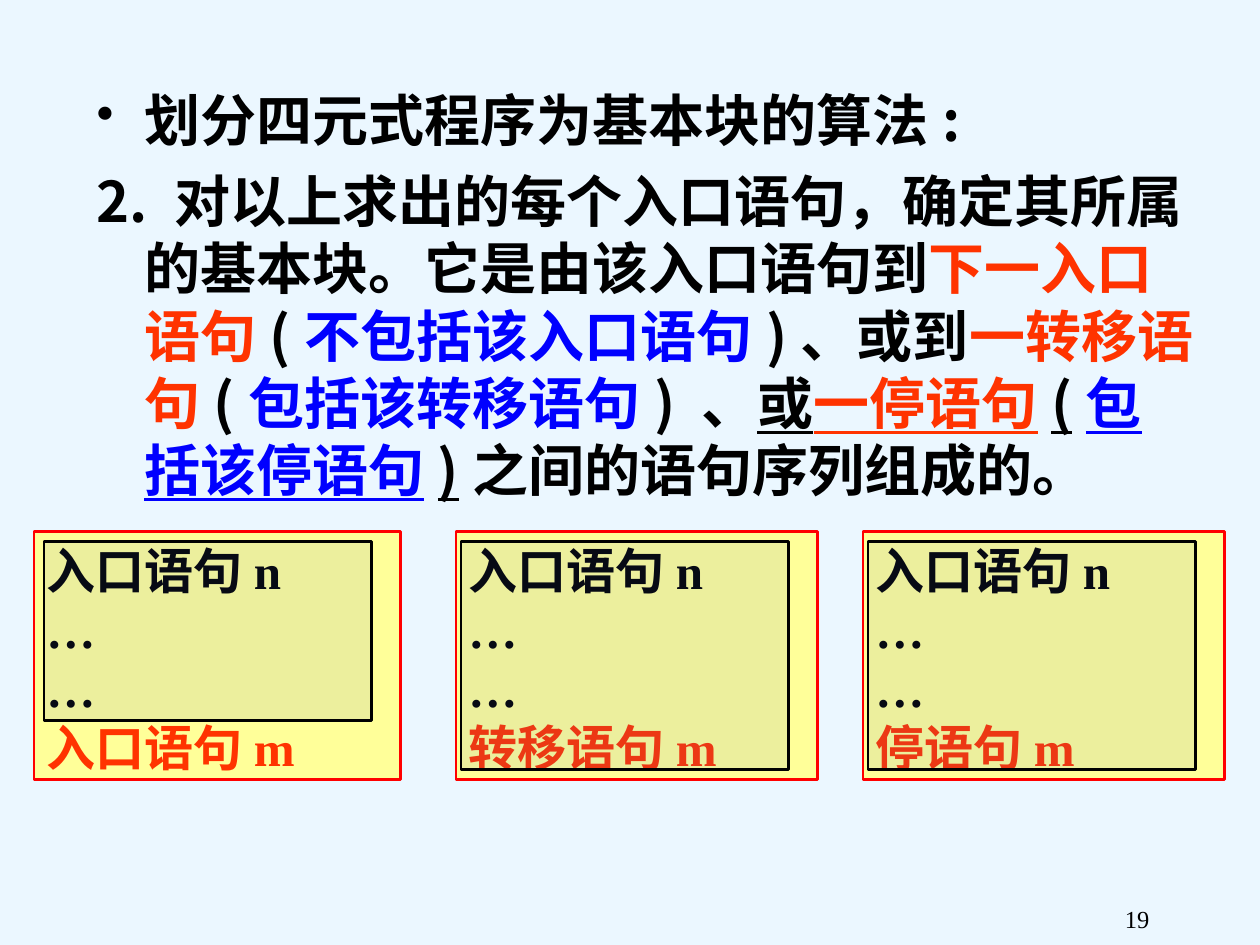
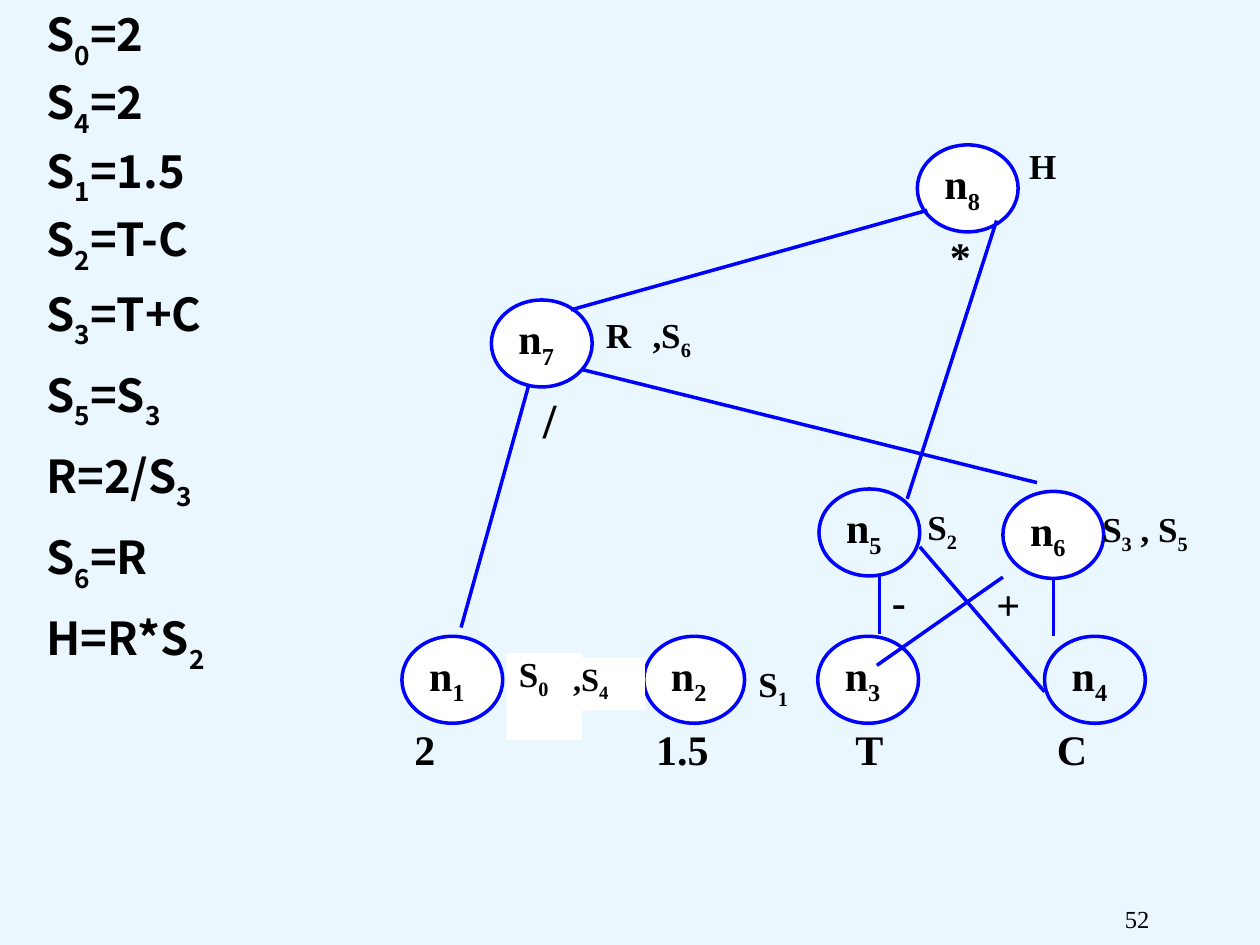
from lxml import etree
from pptx import Presentation
from pptx.dml.color import RGBColor
from pptx.enum.shapes import MSO_CONNECTOR as CONN, MSO_SHAPE as SHAPE
from pptx.enum.text import MSO_ANCHOR as ANCHOR, PP_ALIGN as ALIGN
from pptx.oxml.ns import qn
from pptx.util import Pt

COLORS = {
    "bg": "EBF7FF", "text": "000000", "accent": "FF3300", "blue": "0000FF",
    "frame": "FF0000", "box": "FFFF99", "overlay": "4E67C8", "white": "FFFFFF",
}
SANS, SERIF = "Noto Sans CJK SC", "Times New Roman"
SUB_SERIF, SUB_SANS = -25, -30


def rgb(name):
    return RGBColor.from_string(COLORS[name])


class Deck:
    """Shared style plus the slide being drawn."""

    def __init__(self):
        self.prs = Presentation()
        self.prs.slide_width, self.prs.slide_height = Pt(720), Pt(540)
        self.s = None

    def slide(self, number):
        self.s = self.prs.slides.add_slide(self.prs.slide_layouts[6])
        fill = self.s.background.fill
        fill.solid()
        fill.fore_color.rgb = rgb("bg")
        tf = self.text(514.1, 501.1, 149.8, 36)
        tf.vertical_anchor = ANCHOR.BOTTOM
        p = self.para(tf, ALIGN.RIGHT)
        self.run(p, number, 14, bold=False)

    def frame(self, sp, margins, wrap=True):
        tf = sp.text_frame
        tf.word_wrap = wrap
        tf.vertical_anchor = ANCHOR.TOP
        side, top = margins
        tf.margin_left = tf.margin_right = Pt(side)
        tf.margin_top = tf.margin_bottom = Pt(top)
        return tf

    def text(self, x, y, w, h, margins=(7.2, 3.6), wrap=True):
        sp = self.s.shapes.add_textbox(Pt(x), Pt(y), Pt(w), Pt(h))
        return self.frame(sp, margins, wrap)

    def shape(self, kind, x, y, w, h, fill=None, line=None, width=1.5,
              alpha=None, margins=(7.2, 0)):
        sp = self.s.shapes.add_shape(kind, Pt(x), Pt(y), Pt(w), Pt(h))
        sp.shadow.inherit = False
        if fill:
            sp.fill.solid()
            sp.fill.fore_color.rgb = rgb(fill)
        else:
            sp.fill.background()
        if alpha:
            clr = sp.fill._xPr.find(".//" + qn("a:srgbClr"))
            etree.SubElement(clr, qn("a:alpha"), val=str(alpha * 1000))
        if line:
            sp.line.color.rgb = rgb(line)
            sp.line.width = Pt(width)
        else:
            sp.line.fill.background()
        return self.frame(sp, margins)

    def para(self, tf, align=ALIGN.LEFT, spacing=None, before=0, hanging=0, bullet=None):
        p = tf.paragraphs[0]
        first = not p.runs
        if not first:
            p = tf.add_paragraph()
        p.alignment = align
        if spacing:
            p.line_spacing = spacing
        if before and not first:
            p.space_before = Pt(before)
        pPr = p._p.get_or_add_pPr()
        if hanging:
            pPr.set("marL", str(Pt(hanging)))
            pPr.set("indent", str(-Pt(hanging)))
        if bullet:
            clr = etree.SubElement(pPr, qn("a:buClr"))
            etree.SubElement(clr, qn("a:srgbClr"), val=COLORS["text"])
            etree.SubElement(pPr, qn("a:buSzPct"), val="90000")
            etree.SubElement(pPr, qn("a:buChar"), char=bullet)
        return p

    def run(self, p, text, size, color="text", font=SERIF, bold=True,
            underline=False, baseline=0):
        r = p.add_run()
        r.text = text
        f = r.font
        f.size, f.bold, f.name = Pt(size), bold, font
        f.color.rgb = rgb(color)
        if underline:
            f.underline = True
        rPr = r._r.get_or_add_rPr()
        etree.SubElement(rPr, qn("a:ea"), typeface=SANS)
        if baseline:
            rPr.set("baseline", str(baseline * 1000))

    def formula(self, p, text, size, font=SERIF, sub=SUB_SERIF):
        """Write text in which _x_ marks a subscript x."""
        for i, part in enumerate(text.split("_")):
            if part:
                self.run(p, part, size, font=font, baseline=sub if i % 2 else 0)

    def label(self, text, x, y, w, h, size=20):
        self.formula(self.para(self.text(x, y, w, h, (7.2, 0)), ALIGN.JUSTIFY), text, size)

    def tag(self, text, x, y, w, h):
        self.formula(self.para(self.text(x, y, w, h, (0, 0), wrap=False)), text, 20)

    def patch(self, text, x, y, w, h, size, margin=0, spacing=None):
        tf = self.shape(SHAPE.RECTANGLE, x, y, w, h, "white", margins=(7.2, margin))
        self.formula(self.para(tf, ALIGN.JUSTIFY, spacing), text, size)

    def node(self, number, x, y, fill):
        tf = self.shape(SHAPE.OVAL, x, y, 57.6, 49.7, fill, "blue", 2)
        self.formula(self.para(tf, ALIGN.JUSTIFY), f"n_{number}_", 24)

    def edge(self, x1, y1, x2, y2):
        c = self.s.shapes.add_connector(CONN.STRAIGHT, Pt(x1), Pt(y1), Pt(x2), Pt(y2))
        c.line.color.rgb = rgb("blue")
        c.line.width = Pt(2)
        etree.SubElement(c._element.spPr, qn("a:effectLst"))


def basic_blocks(deck):
    deck.slide("19")

    # Algorithm step
    tf = deck.text(48.2, 41.8, 642.2, 250.6)
    tf.margin_top = Pt(7)
    p = deck.para(tf, spacing=Pt(38.4), hanging=27, bullet="•")
    deck.run(p, "划分四元式程序为基本块的算法:", 32, font=SANS)
    p = deck.para(tf, spacing=Pt(38.4), before=8, hanging=27)
    for text, color, underline in [
        ("2. 对以上求出的每个入口语句，确定其所属的基本块。它是由该入口语句到", "text", False),
        ("下一入口语句", "accent", False),
        ("(", "text", False),
        ("不包括该入口语句", "blue", False),
        (")、或到", "text", False),
        ("一转移语句", "accent", False),
        ("(", "text", False),
        ("包括该转移语句", "blue", False),
        (") 、", "text", False),
        ("或", "text", True),
        ("一停语句", "accent", True),
        ("(", "text", True),
        ("包括该停语句", "blue", True),
        (")", "text", True),
        ("之间的语句序列组成的。", "text", False),
    ]:
        deck.run(p, text, 32, color, SANS, underline=underline)

    # Three kinds of block, each with its extent marked
    for last, x, w, inner_x, inner_h in [
        ("入口语句m", 19.4, 209.5, 25.2, 102.2),
        ("转移语句m", 260.6, 206.6, 263.5, 130.3),
        ("停语句m", 493.2, 206.6, 496.1, 130.3),
    ]:
        tf = deck.shape(SHAPE.RECTANGLE, x, 303.8, w, 141.8, "box", "frame", margins=(7.2, 5))
        for text in ("入口语句n", "…", "…", last):
            p = deck.para(tf, spacing=Pt(33.7))
            deck.run(p, text, 28, "accent" if text == last else "text")
        deck.shape(SHAPE.RECTANGLE, inner_x, 309.6, 187.2, inner_h,
                   "overlay", "text", alpha=10)


def dag(deck):
    deck.slide("52")

    # Statements
    tf = deck.text(19.4, 0, 113.8, 419.8)
    statements = ["S_0_=2", "S_4_=2", "S_1_=1.5", "S_2_=T-C", "S_3_=T+C",
                  "S_5_=S_3_", "R=2/S_3_", "S_6_=R", "H=R*S_2_"]
    for i, text in enumerate(statements):
        p = deck.para(tf, ALIGN.JUSTIFY, 0.9 if i < 4 else 1.1, before=6, hanging=27)
        deck.formula(p, text, 25.9, SANS, SUB_SANS)

    # Edges that run under n7
    deck.edge(331.9, 211, 592.6, 275.8)
    deck.edge(303.1, 216.7, 263.5, 358.6)

    # Nodes
    leaf_y = 363.6
    for number, x, y, fill in [
        (1, 229.7, leaf_y, "white"), (2, 367.9, leaf_y, "white"),
        (3, 467.3, leaf_y, "white"), (4, 596.9, leaf_y, None),
        (5, 468, 279.4, None), (6, 573.1, 280.8, "white"),
        (7, 280.8, 171.4, "white"), (8, 524.2, 82.8, "white"),
    ]:
        deck.node(number, x, y, fill)

    # Leaf values
    for text, x, w in [("2", 229.7, 57.6), ("1.5", 367.9, 72),
                       ("T", 481.7, 57.6), ("C", 596.9, 57.6)]:
        deck.label(text, x, leaf_y + 49.7, w, 49.7, 24)

    # Operators
    deck.label("/", 303.1, 222.5, 43.2, 49.7, 28)
    deck.label("+", 562.3, 330.5, 41.8, 33.1, 24)
    deck.label("-", 502.6, 329, 41.8, 31, 24)
    deck.label("*", 535.7, 131.8, 36, 31.7, 24)

    # Attached identifiers
    deck.label("S_3_ , S_5_", 622.8, 290.2, 77, 36.7)
    deck.label(",S_6_", 365.8, 179.3, 43.2, 49.7)
    deck.label("H", 581, 82.8, 43.2, 49.7)
    deck.tag("S_1_", 433.4, 378.7, 17.3, 27.4)
    deck.tag("S_2_", 529.9, 288.7, 17.3, 27.4)
    deck.tag("R", 346.3, 179.3, 14.4, 23.8)
    deck.patch("S_0_", 289.4, 373, 43.2, 49.7, 20)
    deck.patch(",S_4_", 320.4, 375.8, 48.2, 30.2, 18.5, 1.4, 0.9)

    # Remaining edges
    for ends in [
        (501.1, 380.2, 573.1, 329.8), (601.9, 330.5, 601.9, leaf_y),
        (525.6, 312.5, 596.9, 395.3), (502.6, 329, 502.6, 362.2),
        (529.9, 120.2, 326.2, 177.1), (569.5, 126, 518.4, 285.1),
    ]:
        deck.edge(*ends)


def main():
    deck = Deck()
    basic_blocks(deck)
    dag(deck)
    deck.prs.save("out.pptx")


if __name__ == "__main__":
    main()
